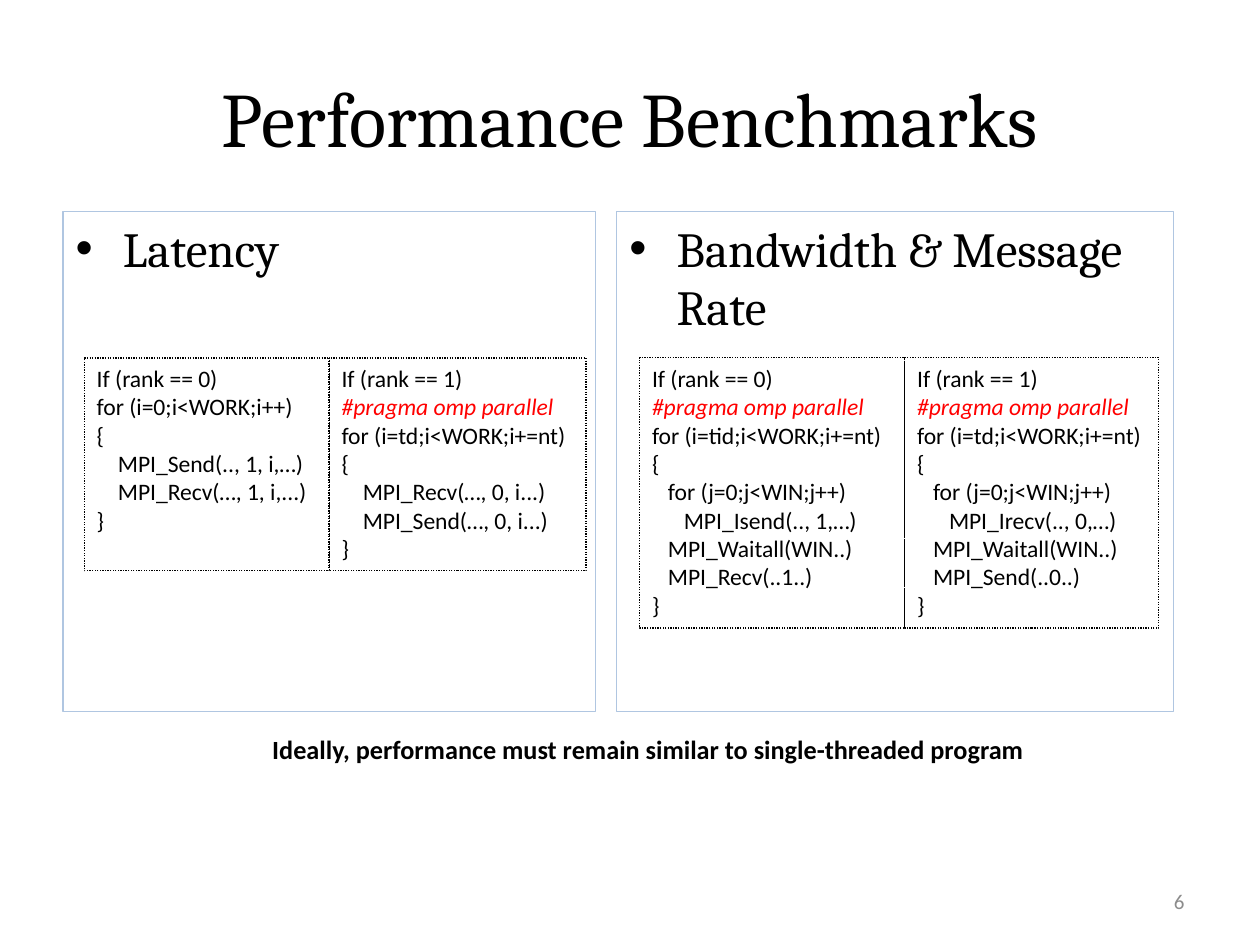
from pptx import Presentation
from pptx.dml.color import RGBColor
from pptx.enum.dml import MSO_LINE
from pptx.enum.shapes import MSO_SHAPE
from pptx.enum.text import MSO_ANCHOR, MSO_AUTO_SIZE, PP_ALIGN
from pptx.util import Pt

COLORS = {"text": "000000", "pragma": "FF0000", "panel": "B0C6E1", "number": "8C8C8C"}
PRAGMA = "#pragma omp parallel"

TITLE = "Performance Benchmarks"
CONCLUSION = "Ideally, performance must remain similar to single-threaded program"
PAGE_NUMBER = "6"

BENCHMARKS = [
    {
        "heading": "Latency",
        "left": 36, "width": 304.5,
        "code_left": 48.2, "code_height": 121.7,
        "ranks": [
            (139.9, [
                "If (rank == 0)",
                "for (i=0;i<WORK;i++)",
                "{",
                "    MPI_Send(.., 1, i,…)",
                "    MPI_Recv(…, 1, i,...)",
                "}",
            ]),
            (146.8, [
                "If (rank == 1)",
                PRAGMA,
                "for (i=td;i<WORK;i+=nt) {",
                "    MPI_Recv(…, 0, i...)",
                "    MPI_Send(…, 0, i...)",
                "}",
            ]),
        ],
    },
    {
        "heading": "Bandwidth & Message Rate",
        "left": 352.5, "width": 318,
        "code_left": 365.5, "code_height": 154.5,
        "ranks": [
            (151.5, [
                "If (rank == 0)",
                PRAGMA,
                "for (i=tid;i<WORK;i+=nt)",
                "{",
                "   for (j=0;j<WIN;j++)",
                "      MPI_Isend(.., 1,…)",
                "   MPI_Waitall(WIN..)",
                "   MPI_Recv(..1..)",
                "}",
            ]),
            (145.2, [
                "If (rank == 1)",
                PRAGMA,
                "for (i=td;i<WORK;i+=nt)",
                "{",
                "   for (j=0;j<WIN;j++)",
                "      MPI_Irecv(.., 0,…)",
                "   MPI_Waitall(WIN..)",
                "   MPI_Send(..0..)",
                "}",
            ]),
        ],
    },
]
PANEL_TOP, PANEL_HEIGHT, CODE_TOP = 121, 285.5, 204.5


def place(part, left, top, width, height):
    part.left, part.top, part.width, part.height = Pt(left), Pt(top), Pt(width), Pt(height)


def outline(part, color):
    part.line.color.rgb = RGBColor.from_string(COLORS[color])
    part.line.width = Pt(0.75)


def write(frame, lines, size, face="Calibri", color="text", align=PP_ALIGN.LEFT,
          anchor=MSO_ANCHOR.TOP, fit=MSO_AUTO_SIZE.NONE, bold=False):
    frame.word_wrap = True
    frame.auto_size = fit
    frame.vertical_anchor = anchor
    for index, line in enumerate(lines):
        paragraph = frame.add_paragraph() if index else frame.paragraphs[0]
        paragraph.alignment = align
        paragraph.space_before = Pt(0)
        run = paragraph.add_run()
        run.text = line
        run.font.name = face
        run.font.size = Pt(size)
        run.font.bold = bold
        run.font.italic = line == PRAGMA
        shade = "pragma" if line == PRAGMA else color
        run.font.color.rgb = RGBColor.from_string(COLORS[shade])


deck = Presentation()
deck.slide_width, deck.slide_height = Pt(720), Pt(540)
slide = deck.slides.add_slide(deck.slide_layouts[3])
title, *panels = slide.placeholders

place(title, 36, 21.6, 648, 90)
write(title.text_frame, [TITLE], 44, "Cambria", align=PP_ALIGN.CENTER, anchor=MSO_ANCHOR.MIDDLE)

for panel, benchmark in zip(panels, BENCHMARKS):
    place(panel, benchmark["left"], PANEL_TOP, benchmark["width"], PANEL_HEIGHT)
    outline(panel, "panel")
    write(panel.text_frame, [benchmark["heading"]], 28, "Cambria")

    code_left = benchmark["code_left"]
    for code_width, code in benchmark["ranks"]:
        listing = slide.shapes.add_shape(
            MSO_SHAPE.RECTANGLE, Pt(code_left), Pt(CODE_TOP),
            Pt(code_width), Pt(benchmark["code_height"]))
        listing.shadow.inherit = False
        listing.fill.background()
        outline(listing, "text")
        listing.line.dash_style = MSO_LINE.ROUND_DOT
        write(listing.text_frame, code, 13.5, fit=MSO_AUTO_SIZE.SHAPE_TO_FIT_TEXT)
        code_left += code_width

conclusion = slide.shapes.add_textbox(Pt(148.5), Pt(415.5), Pt(451.5), Pt(25.2))
write(conclusion.text_frame, [CONCLUSION], 15, fit=MSO_AUTO_SIZE.SHAPE_TO_FIT_TEXT, bold=True)

page_number = slide.shapes.add_textbox(Pt(516), Pt(500.5), Pt(168), Pt(28.8))
write(page_number.text_frame, [PAGE_NUMBER], 12, color="number",
      align=PP_ALIGN.RIGHT, anchor=MSO_ANCHOR.MIDDLE)

deck.save("out.pptx")
